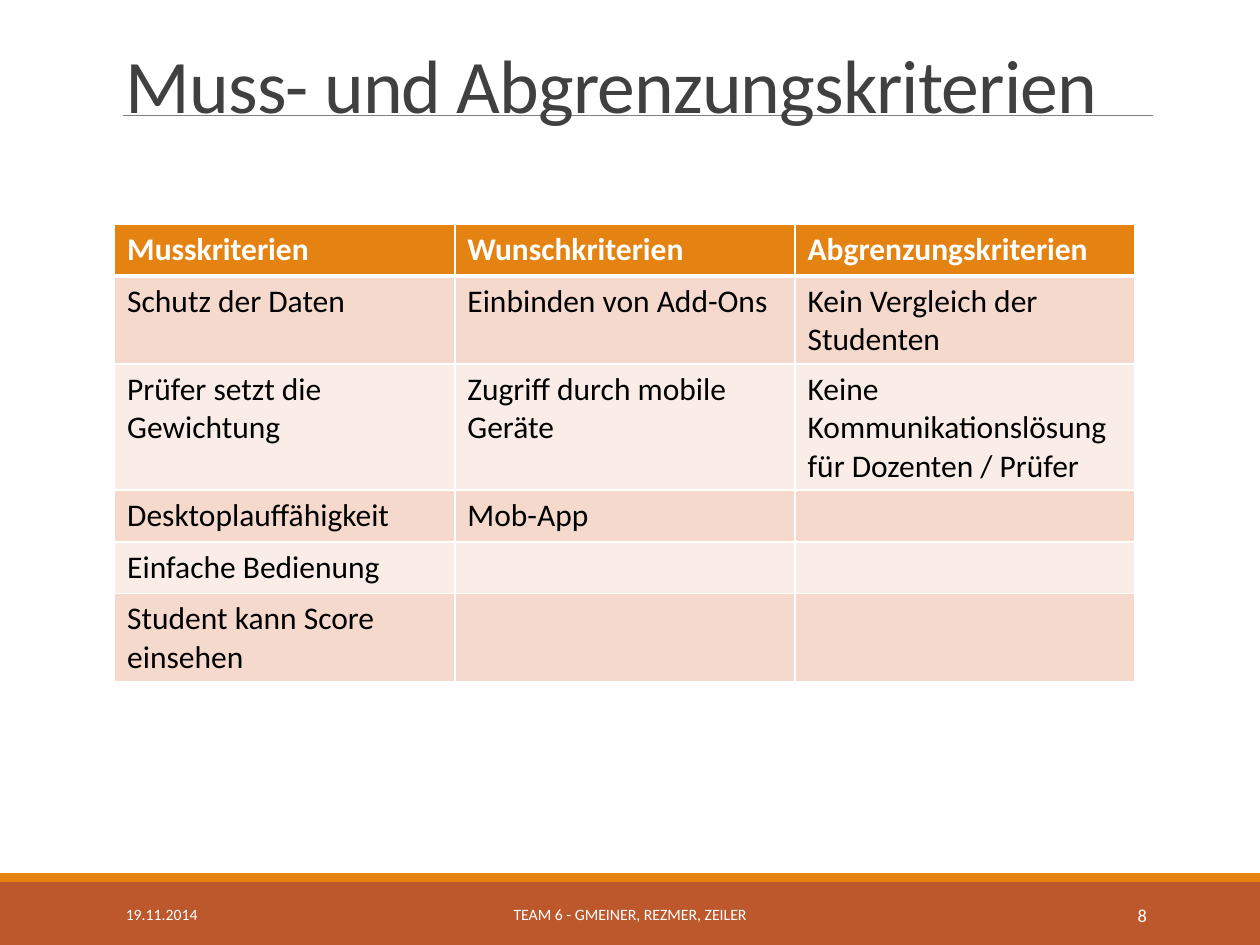
from dataclasses import dataclass
from lxml.etree import SubElement
from pptx import Presentation
from pptx.dml.color import RGBColor
from pptx.enum.shapes import MSO_CONNECTOR, MSO_SHAPE
from pptx.enum.text import MSO_ANCHOR, PP_ALIGN
from pptx.oxml.ns import qn
from pptx.util import Inches, Pt

TITLE = "Muss- und Abgrenzungskriterien"
ROWS = [
    ("Musskriterien", "Wunschkriterien", "Abgrenzungskriterien"),
    ("Schutz der Daten", "Einbinden von Add-Ons", "Kein Vergleich der Studenten"),
    ("Prüfer setzt die Gewichtung", "Zugriff durch mobile Geräte",
     "Keine Kommunikationslösung für Dozenten / Prüfer"),
    ("Desktoplauffähigkeit", "Mob-App", ""),
    ("Einfache Bedienung", "", ""),
    ("Student kann Score einsehen", "", ""),
]
FOOT = [
    ("19.11.2014", 0.9, 2.03, 9, PP_ALIGN.LEFT),
    ("TEAM 6 - GMEINER, REZMER, ZEILER", 3.02, 3.96, 9, PP_ALIGN.CENTER),
    ("8", 8.12, 1.08, 10.5, PP_ALIGN.RIGHT),
]


@dataclass(frozen=True)
class Theme:
    font: str = "Calibri"
    white: str = "FFFFFF"
    black: str = "000000"
    title: str = "404040"
    rule: str = "808080"
    rust: str = "BD582C"
    gold: str = "E48312"
    bands: tuple = ("FAEDE7", "F5D9CC")
    head: float = 43.2
    body: float = 18


T = Theme()


def rgb(code):
    return RGBColor.from_string(code)


def put(para, text, size, color, bold=False):
    run = para.add_run()
    run.text = text
    font = run.font
    font.name, font.size, font.bold = T.font, Pt(size), bold
    font.color.rgb = rgb(color)
    return run


def label(slide, box, text, size, color, anchor, align=PP_ALIGN.LEFT):
    frame = slide.shapes.add_textbox(*map(Inches, box)).text_frame
    frame.word_wrap = True
    frame.vertical_anchor = anchor
    para = frame.paragraphs[0]
    para.alignment = align
    return para, put(para, text, size, color)


def bar(slide, top, high, color):
    shape = slide.shapes.add_shape(
        MSO_SHAPE.RECTANGLE, 0, Inches(top), Inches(10), Inches(high))
    shape.shadow.inherit = False
    shape.fill.solid()
    shape.fill.fore_color.rgb = rgb(color)
    shape.line.fill.background()


def rule(slide):
    line = slide.shapes.add_connector(
        MSO_CONNECTOR.STRAIGHT, Inches(0.98), Inches(0.92), Inches(9.15), Inches(0.92))
    line.line.color.rgb = rgb(T.rule)
    line.line.width = Pt(0.5)
    SubElement(line._element.spPr, qn("a:effectLst"))


def edge(cell, side, width):
    line = SubElement(cell._tc.get_or_add_tcPr(), qn("a:ln" + side), w=str(Pt(width)))
    fill = SubElement(line, qn("a:solidFill"))
    SubElement(fill, qn("a:srgbClr"), val=T.white)


def grid(slide):
    table = slide.shapes.add_table(
        len(ROWS), len(ROWS[0]), Inches(0.91), Inches(1.78),
        Inches(8.1), Inches(0.41 * len(ROWS))).table
    for r, row in enumerate(ROWS):
        top = r == 0
        for c, text in enumerate(row):
            cell = table.cell(r, c)
            for side in "LRTB":
                thick = (r, side) in ((0, "B"), (1, "T"))
                edge(cell, side, 3 if thick else 1)
            cell.fill.solid()
            cell.fill.fore_color.rgb = rgb(T.gold if top else T.bands[r % 2])
            if text:
                put(cell.text_frame.paragraphs[0], text, T.body,
                    T.white if top else T.black, top)


def main():
    """Build the criteria slide."""
    deck = Presentation()
    deck.slide_width, deck.slide_height = Inches(10), Inches(7.5)
    slide = deck.slides.add_slide(deck.slide_layouts[6])
    bar(slide, 7, 0.5, T.rust)
    bar(slide, 6.93, 0.07, T.gold)
    rule(slide)
    para, run = label(slide, (0.9, 0.31, 8.25, 0.76), TITLE, T.head, T.title,
                      MSO_ANCHOR.BOTTOM)
    para.line_spacing = 0.85
    run._r.get_or_add_rPr().set("spc", "-50")
    grid(slide)
    for text, left, wide, size, align in FOOT:
        label(slide, (left, 7.06, wide, 0.4), text, size, T.white,
              MSO_ANCHOR.MIDDLE, align)
    deck.save("out.pptx")


if __name__ == "__main__":
    main()
